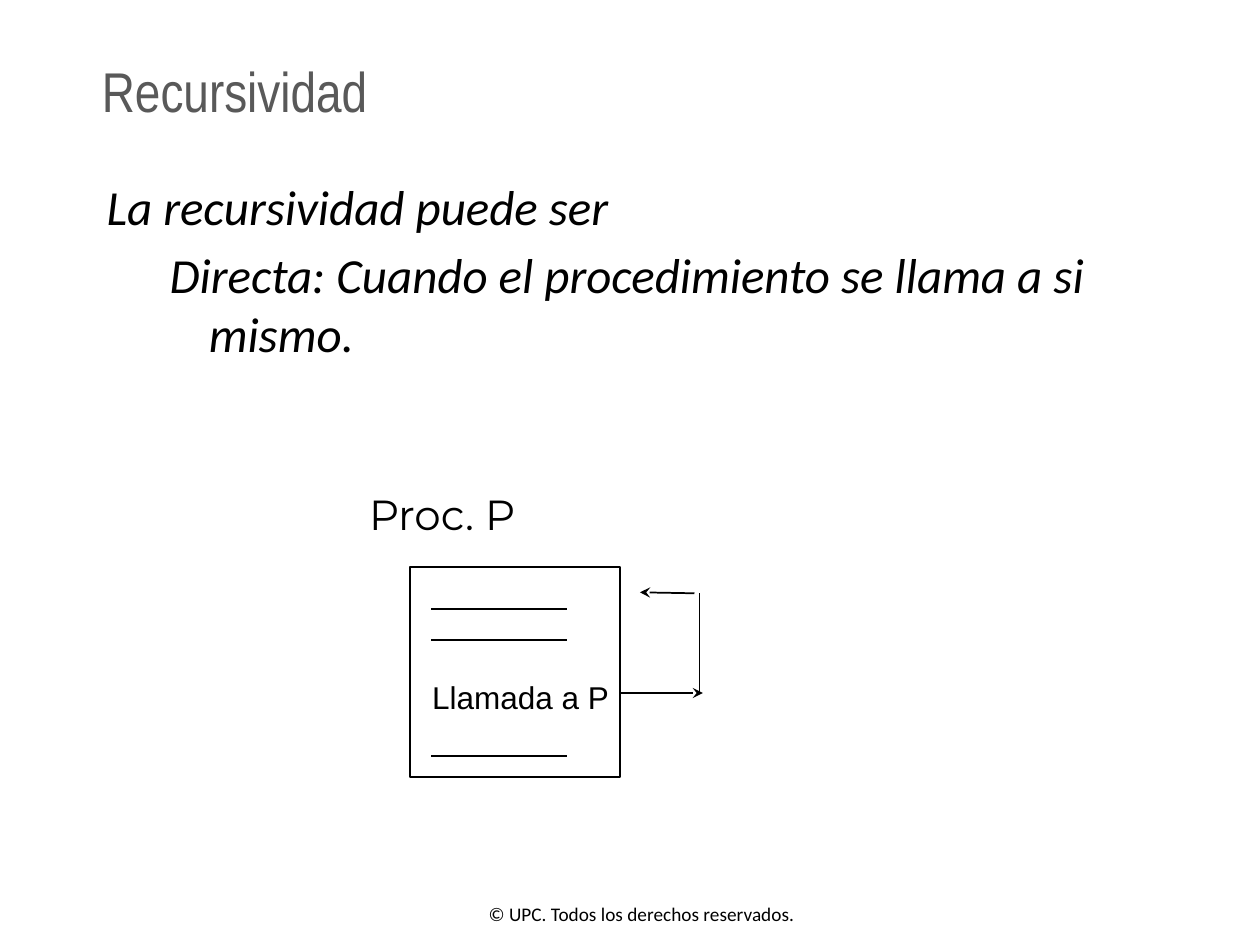
from lxml import etree
from pptx import Presentation
from pptx.dml.color import RGBColor
from pptx.enum.shapes import MSO_CONNECTOR, MSO_SHAPE
from pptx.enum.text import MSO_ANCHOR, PP_ALIGN
from pptx.oxml.ns import qn
from pptx.util import Cm, Pt

STRAIGHT = MSO_CONNECTOR.STRAIGHT
RECT = MSO_SHAPE.RECTANGLE
MIDDLE = MSO_ANCHOR.MIDDLE
LEFT = PP_ALIGN.LEFT

BLACK, WHITE, GREY = "000000", "FFFFFF", "595959"
TITLE = "Recursividad"
BODY = [
    ("La recursividad puede ser", 0.95, -0.95, 0),
    ("Directa: Cuando el procedimiento se llama a si mismo.", 2.06, -0.79, 5.6),
]
LABELS = [
    ("Proc. P", (7.19, 9.73, 4, 1.3), dict(size=24, font="Montserrat")),
    ("Llamada a P", (8.46, 13.54, 4.09, 1.02), dict(size=18, font="Arial")),
    ("© UPC. Todos los derechos reservados.", (9.6, 17.83, 7.16, 0.86),
     dict(size=11, font="Calibri", spacing=1.5)),
]
PROC_BOX = (8.26, 11.43, 4.24, 4.23)
CODE_LEFT, CODE_RIGHT = 8.69, 11.43
CODE_ROWS = [12.27, 12.9, 15.24]
CALL_LOOP = [
    ((12.5, 13.97), (14.17, 13.97), True),
    ((14.1, 13.94), (14.1, 11.96), False),
    ((14, 11.96), (12.9, 11.94), True),
]


def rgb(value):
    return RGBColor.from_string(value)


def write(p, text, size, font, color=BLACK, italic=False, spacing=None):
    p.alignment = LEFT
    if spacing:
        p.line_spacing = spacing
    r = p.add_run()
    r.text = text
    r.font.size = Pt(size)
    r.font.name = font
    r.font.italic = italic
    r.font.color.rgb = rgb(color)


def add_box(s, box, wrap=False):
    tf = s.shapes.add_textbox(*map(Cm, box)).text_frame
    tf.word_wrap = wrap
    return tf


def add_line(s, start, end, arrow=False):
    line = s.shapes.add_connector(STRAIGHT, *map(Cm, start + end))
    line.line.color.rgb = rgb(BLACK)
    line.line.width = Pt(1)
    if arrow:
        ln = line.line._get_or_add_ln()
        etree.SubElement(ln, qn("a:tailEnd"), type="stealth")
    etree.SubElement(line._element.spPr, qn("a:effectLst"))


def main():
    prs = Presentation()
    prs.slide_width, prs.slide_height = Cm(25.4), Cm(19.05)
    s = prs.slides.add_slide(prs.slide_layouts[5])

    title = s.shapes.title
    title.left, title.top, title.width, title.height = map(Cm, (1.8, 0.91, 20.19, 1.8))
    title.text_frame.vertical_anchor = MIDDLE
    write(title.text_frame.paragraphs[0], TITLE, 32, "Arial Narrow", GREY)

    tf = add_box(s, (1.9, 3.43, 22.23, 4.2), wrap=True)
    for i, (text, margin, indent, before) in enumerate(BODY):
        p = tf.add_paragraph() if i else tf.paragraphs[0]
        pPr = p._p.get_or_add_pPr()
        pPr.set("marL", str(Cm(margin)))
        pPr.set("indent", str(Cm(indent)))
        p.space_before = Pt(before)
        write(p, text, 28, "Calibri", italic=True)

    proc = s.shapes.add_shape(RECT, *map(Cm, PROC_BOX))
    proc.shadow.inherit = False
    proc.fill.solid()
    proc.fill.fore_color.rgb = rgb(WHITE)
    proc.line.color.rgb = rgb(BLACK)
    proc.line.width = Pt(1)

    for start, end, arrow in CALL_LOOP:
        add_line(s, start, end, arrow)
    for y in CODE_ROWS:
        add_line(s, (CODE_LEFT, y), (CODE_RIGHT, y))
    for text, box, style in LABELS:
        write(add_box(s, box).paragraphs[0], text, **style)

    prs.save("out.pptx")


if __name__ == "__main__":
    main()
